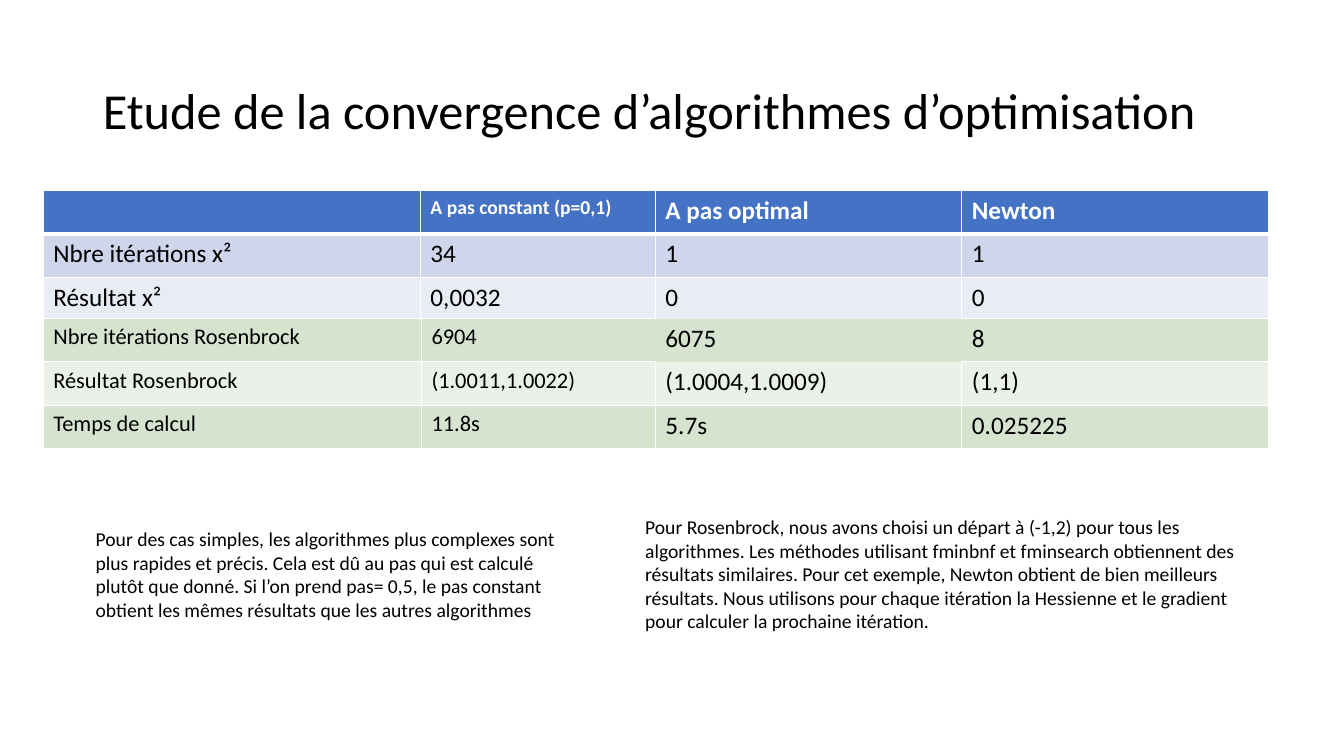
"""Build a slide comparing the convergence of optimisation algorithms."""
from dataclasses import dataclass, field

from lxml import etree
from pptx import Presentation
from pptx.dml.color import RGBColor
from pptx.enum.text import MSO_ANCHOR, MSO_AUTO_SIZE, PP_ALIGN
from pptx.oxml.ns import qn
from pptx.util import Emu, Pt

EMU_PER_PX = 9144
EMU_PER_POINT = 12700
FONT = "Calibri"
BLACK = "000000"
WHITE = "FFFFFF"
BLUE = "4472C4"
LEFT = PP_ALIGN.LEFT
MIDDLE = MSO_ANCHOR.MIDDLE
NO_AUTOFIT = MSO_AUTO_SIZE.NONE
TITLE_ONLY = 5
ROW_HEIGHT = 43


@dataclass(frozen=True)
class Box:
    left: int
    top: int
    width: int
    height: int


@dataclass(frozen=True)
class Note:
    box: Box
    text: str


@dataclass(frozen=True)
class ResultTable:
    left: int
    top: int
    column_widths: tuple[int, ...]
    rows: tuple[tuple[str, ...], ...]
    row_fills: tuple[str, ...]
    column_sizes: tuple[int, ...]
    has_header: bool = False
    special_sizes: dict[tuple[int, int], int] = field(default_factory=dict)
    open_edges: dict[tuple[int, int], str] = field(default_factory=dict)


TITLE = "Etude de la convergence d’algorithmes d’optimisation"
TITLE_BOX = Box(92, 40, 1150, 145)

TABLES = (
    ResultTable(
        43, 189, (374, 233, 304, 304),
        (
            ("", "A pas constant (p=0,1)", "A pas optimal", "Newton"),
            ("Nbre itérations x²", "34", "1", "1"),
            ("Résultat x²", "0,0032", "0", "0"),
        ),
        (BLUE, "CFD5EA", "E9EBF5"), (18, 18, 18, 18),
        has_header=True, special_sizes={(0, 1): 14},
    ),
    ResultTable(
        43, 316, (375, 232, 304, 304),
        (
            ("Nbre itérations Rosenbrock", "6904", "6075", "8"),
            ("Résultat Rosenbrock", "(1.0011,1.0022)", "(1.0004,1.0009)", "(1,1)"),
            ("Temps de calcul", "11.8s", "5.7s", "0.025225"),
        ),
        ("D5E3CF", "EBF1E9", "D5E3CF"), (16, 16, 18, 18),
        open_edges={(0, 1): "R", (0, 2): "LRTB", (0, 3): "L", (1, 2): "T"},
    ),
)

NOTES = (
    Note(
        Box(85, 518, 478, 104),
        "Pour des cas simples, les algorithmes plus complexes sont plus rapides et précis. "
        "Cela est dû au pas qui est calculé plutôt que donné. Si l’on prend pas= 0,5, "
        "le pas constant obtient les mêmes résultats que les autres algorithmes",
    ),
    Note(
        Box(630, 506, 612, 128),
        "Pour Rosenbrock, nous avons choisi un départ à (-1,2) pour tous les algorithmes. "
        "Les méthodes utilisant fminbnf et fminsearch obtiennent des résultats similaires. "
        "Pour cet exemple, Newton obtient de bien meilleurs résultats. Nous utilisons pour "
        "chaque itération la Hessienne et le gradient pour calculer la prochaine itération.",
    ),
)


def px(length: int) -> Emu:
    """Convert pixels to EMU."""
    return Emu(length * EMU_PER_PX)


def color(value: str) -> RGBColor:
    """Convert a hex string to a colour."""
    return RGBColor.from_string(value)


def add_run(paragraph, text: str, size: int, hex_color: str = BLACK, bold: bool = False) -> None:
    """Add one formatted run to a paragraph."""
    run = paragraph.add_run()
    run.text = text
    run.font.name = FONT
    run.font.size = Pt(size)
    run.font.bold = bold
    run.font.color.rgb = color(hex_color)


def add_title(slide) -> None:
    """Place and format the title placeholder."""
    title = slide.shapes.title
    title.left, title.top = px(TITLE_BOX.left), px(TITLE_BOX.top)
    title.width, title.height = px(TITLE_BOX.width), px(TITLE_BOX.height)
    frame = title.text_frame
    frame.word_wrap = True
    frame.auto_size = NO_AUTOFIT
    frame.vertical_anchor = MIDDLE
    paragraph = frame.paragraphs[0]
    paragraph.alignment = LEFT
    paragraph.line_spacing = 0.9
    add_run(paragraph, TITLE, 36)


def set_borders(cell, open_edges: str, bottom_points: int) -> None:
    """Draw white cell borders, leaving the open edges without a line."""
    properties = cell._tc.get_or_add_tcPr()
    for edge in "LRTB":
        points = bottom_points if edge == "B" else 1
        line = etree.SubElement(properties, qn(f"a:ln{edge}"), w=str(points * EMU_PER_POINT))
        if edge in open_edges:
            etree.SubElement(line, qn("a:noFill"))
        else:
            fill = etree.SubElement(line, qn("a:solidFill"))
            etree.SubElement(fill, qn("a:srgbClr"), val=WHITE)


def add_result_table(slide, spec: ResultTable) -> None:
    """Add one table of results."""
    table = slide.shapes.add_table(
        len(spec.rows), len(spec.column_widths), px(spec.left), px(spec.top),
        px(sum(spec.column_widths)), px(ROW_HEIGHT * len(spec.rows)),
    ).table
    table.first_row = spec.has_header
    for column, width in zip(table.columns, spec.column_widths):
        column.width = px(width)
    for row_index, texts in enumerate(spec.rows):
        table.rows[row_index].height = px(ROW_HEIGHT)
        header = spec.has_header and row_index == 0
        for column_index, text in enumerate(texts):
            position = (row_index, column_index)
            cell = table.cell(*position)
            set_borders(cell, spec.open_edges.get(position, ""), 3 if header else 1)
            cell.fill.solid()
            cell.fill.fore_color.rgb = color(spec.row_fills[row_index])
            if text:
                size = spec.special_sizes.get(position, spec.column_sizes[column_index])
                add_run(cell.text_frame.paragraphs[0], text, size,
                        WHITE if header else BLACK, header)


def add_note(slide, note: Note) -> None:
    """Add one commentary text box."""
    box = note.box
    shape = slide.shapes.add_textbox(px(box.left), px(box.top), px(box.width), px(box.height))
    shape.text_frame.word_wrap = True
    add_run(shape.text_frame.paragraphs[0], note.text, 14)


def main() -> None:
    """Build and save the presentation."""
    presentation = Presentation()
    presentation.slide_width, presentation.slide_height = px(1333), px(750)
    slide = presentation.slides.add_slide(presentation.slide_layouts[TITLE_ONLY])
    add_title(slide)
    for spec in TABLES:
        add_result_table(slide, spec)
    for note in NOTES:
        add_note(slide, note)
    presentation.save("out.pptx")


if __name__ == "__main__":
    main()
